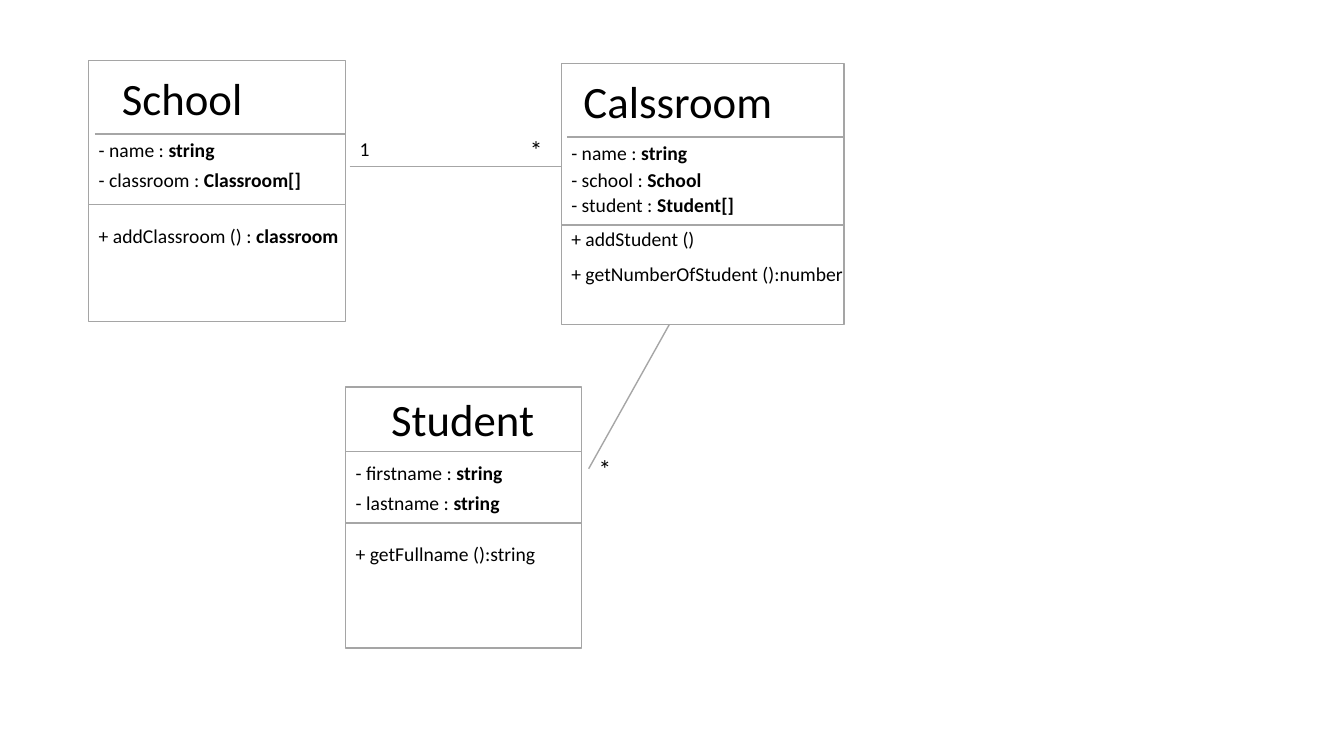
from dataclasses import dataclass

from lxml.etree import SubElement
from pptx import Presentation
from pptx.dml.color import RGBColor
from pptx.enum.shapes import MSO_CONNECTOR as Connector, MSO_SHAPE as Shape
from pptx.enum.text import MSO_AUTO_SIZE as AutoSize
from pptx.oxml.ns import qn
from pptx.util import Pt

WHITE, BLACK, BORDER, RULE = "FFFFFF", "000000", "A5A5A5", "A6A6A6"
BOX_HEIGHT = 186.5
NAME_HEIGHT, MEMBER_HEIGHT, MANY_HEIGHT = 46, 24.5, 29


@dataclass
class Member:
    """One attribute or method line, with its type in bold."""
    top: float
    width: float
    label: str
    kind: str = ""


@dataclass
class ClassBox:
    """A UML class; all positions are in points on the slide."""
    name: str
    left: float
    top: float
    width: float
    name_left: float
    name_top: float
    name_width: float
    dividers: tuple[float, float]
    first_divider_inset: float
    members: list[Member]


CLASSES = [
    ClassBox("School", 63.4, 43.2, 183.6, 79.9, 46.8, 101.5, (95.8, 146.2), 4.3, [
        Member(95, 98, "- name : ", "string"),
        Member(116.6, 176.4, "- classroom : ", "Classroom[]"),
        Member(156.2, 193, "+ addClassroom () : ", "classroom")]),
    ClassBox("Calssroom", 401, 45.4, 201.8, 409.7, 49, 150.5, (97.9, 160.6), 4.3, [
        Member(97.2, 98, "- name : ", "string"),
        Member(116.6, 108, "- school : ", "School"),
        Member(134.6, 131.8, "- student : ", "Student[]"),
        Member(158.4, 103.7, "+ addStudent ()"),
        Member(183.6, 210.2, "+ getNumberOfStudent ():number")]),
    ClassBox("Student", 247, 276.5, 168.5, 272.2, 276.5, 123, (322.6, 373.7), 0, [
        Member(325.4, 120.2, "- firstname : ", "string"),
        Member(347, 118, "- lastname : ", "string"),
        Member(383.8, 144, "+ getFullname ():string")]),
]


def color(value: str) -> RGBColor:
    """Turn a hex string into a colour."""
    return RGBColor.from_string(value)


def add_text(slide, left: float, top: float, width: float, height: float, text: str, *,
             bold_text: str = "", size: float = 14, font: str = "Calibri",
             fill: str = BLACK) -> None:
    """Add one line of text with an optional bold ending."""
    box = slide.shapes.add_textbox(Pt(left), Pt(top), Pt(width), Pt(height))
    frame = box.text_frame
    frame.word_wrap = False
    frame.auto_size = AutoSize.SHAPE_TO_FIT_TEXT
    para = frame.paragraphs[0]
    for content, bold in ((text, False), (bold_text, True)):
        if content:
            span = para.add_run()
            span.text = content
            span.font.name, span.font.size, span.font.bold = font, Pt(size), bold
            span.font.color.rgb = color(fill)


def add_line(slide, start: tuple[float, float], end: tuple[float, float]) -> None:
    """Add a thin grey line without a shadow."""
    line = slide.shapes.add_connector(Connector.STRAIGHT, *map(Pt, start + end))
    line.line.color.rgb = color(RULE)
    line.line.width = Pt(1)
    SubElement(line._element.spPr, qn("a:effectLst"))


def add_class(slide, item: ClassBox) -> None:
    """Draw a class box with its name, dividers and members."""
    box = slide.shapes.add_shape(Shape.RECTANGLE, Pt(item.left), Pt(item.top),
                                 Pt(item.width), Pt(BOX_HEIGHT))
    box.shadow.inherit = False
    box.fill.solid()
    box.fill.fore_color.rgb = color(WHITE)
    box.line.color.rgb = color(BORDER)
    box.line.width = Pt(1)
    add_text(slide, item.name_left, item.name_top, item.name_width, NAME_HEIGHT,
             item.name, size=32)
    for inset, top in zip((item.first_divider_inset, 0), item.dividers):
        add_line(slide, (item.left + inset, top), (item.left + item.width, top))
    for member in item.members:
        add_text(slide, item.left, member.top, member.width, MEMBER_HEIGHT,
                 member.label, bold_text=member.kind)


def main() -> None:
    """Build the class diagram."""
    deck = Presentation()
    deck.slide_width, deck.slide_height = Pt(960), Pt(540)
    slide = deck.slides.add_slide(deck.slide_layouts[6])

    add_line(slide, (249.8, 118.8), (412.6, 118.8))
    for item in CLASSES:
        add_class(slide, item)
    add_line(slide, (478.1, 231.8), (420.5, 334.8))

    add_text(slide, 249.8, 94.3, 21.6, MEMBER_HEIGHT, "1")
    for left, top in ((371.5, 92.2), (420.5, 320.4)):
        add_text(slide, left, top, 23.8, MANY_HEIGHT, "*", size=18)
    deck.save("out.pptx")


main()
